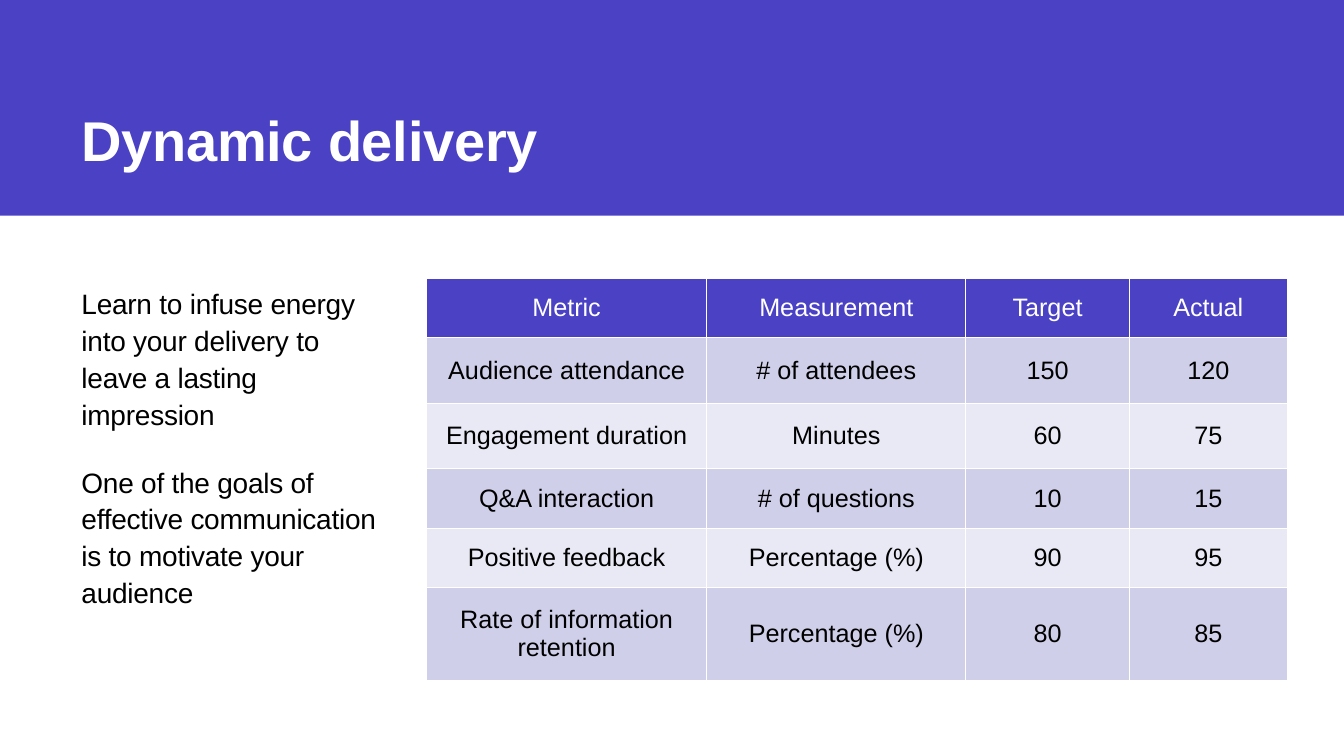
from dataclasses import dataclass

from lxml import etree
from pptx import Presentation
from pptx.dml.color import RGBColor
from pptx.enum.shapes import MSO_SHAPE
from pptx.enum.text import MSO_ANCHOR, PP_ALIGN
from pptx.oxml.ns import qn
from pptx.util import Inches, Pt

RECTANGLE = MSO_SHAPE.RECTANGLE
TOP, MIDDLE, BOTTOM = MSO_ANCHOR.TOP, MSO_ANCHOR.MIDDLE, MSO_ANCHOR.BOTTOM
CENTER = PP_ALIGN.CENTER


@dataclass(frozen=True)
class Theme:
    font: str = "Arial"
    accent: str = "4A41C5"
    band_dark: str = "D0CFEA"
    band_light: str = "E9E9F5"
    white: str = "FFFFFF"
    black: str = "000000"
    title_size: int = 40
    body_size: int = 20
    table_size: int = 18
    tracking: int = -20  # hundredths of a point
    border: int = 1


THEME = Theme()


def add_span(para, text, size, color, bold=False, tracking=0):
    span = para.add_run()
    span.text = text
    span.font.name = THEME.font
    span.font.size = Pt(size)
    span.font.bold = bold
    span.font.color.rgb = RGBColor.from_string(color)
    if tracking:
        span.font._element.set("spc", str(tracking))


def add_text_frame(page, left, top, width, height, anchor):
    box = page.shapes.add_textbox(Inches(left), Inches(top), Inches(width), Inches(height))
    frame = box.text_frame
    frame.word_wrap = True
    frame.vertical_anchor = anchor
    return frame


deck = Presentation()
deck.slide_width = Inches(13.33)
deck.slide_height = Inches(7.5)
page = deck.slides.add_slide(deck.slide_layouts[6])

# Title band
band = page.shapes.add_shape(RECTANGLE, 0, 0, deck.slide_width, Inches(2.14))
band.shadow.inherit = False
band.fill.solid()
band.fill.fore_color.rgb = RGBColor.from_string(THEME.accent)
band.line.fill.background()

title = add_text_frame(page, 0.71, 0.4, 11.79, 1.36, BOTTOM)
add_span(title.paragraphs[0], "Dynamic delivery", THEME.title_size, THEME.white,
         bold=True, tracking=THEME.tracking)

# Introduction
messages = [
    "Learn to infuse energy into your delivery to leave a lasting impression",
    "One of the goals of effective communication is to motivate your audience",
]
intro = add_text_frame(page, 0.71, 2.76, 3.13, 3.9, TOP)
for index, message in enumerate(messages):
    para = intro.add_paragraph() if index else intro.paragraphs[0]
    para.line_spacing = 1.1
    para.space_before = Pt(10)
    para.space_after = Pt(12)
    add_span(para, message, THEME.body_size, THEME.black, tracking=THEME.tracking)

# Metrics table
metrics = [
    ["Metric", "Measurement", "Target", "Actual"],
    ["Audience attendance", "# of attendees", "150", "120"],
    ["Engagement duration", "Minutes", "60", "75"],
    ["Q&A interaction", "# of questions", "10", "15"],
    ["Positive feedback", "Percentage (%)", "90", "95"],
    ["Rate of information retention", "Percentage (%)", "80", "85"],
]
column_widths = [2.78, 2.57, 1.62, 1.57]
row_heights = [0.59, 0.65, 0.65, 0.59, 0.59, 0.92]

table = page.shapes.add_table(
    len(row_heights), len(column_widths), Inches(4.23), Inches(2.76),
    Inches(sum(column_widths)), Inches(sum(row_heights))).table
for column, width in zip(table.columns, column_widths):
    column.width = Inches(width)
for row, height in zip(table.rows, row_heights):
    row.height = Inches(height)

for row_index, values in enumerate(metrics):
    if row_index == 0:
        fill, ink = THEME.accent, THEME.white
    else:
        fill = THEME.band_dark if row_index % 2 else THEME.band_light
        ink = THEME.black
    for column_index, value in enumerate(values):
        cell = table.cell(row_index, column_index)
        cell.vertical_anchor = MIDDLE
        properties = cell._tc.get_or_add_tcPr()
        for side in ("a:lnL", "a:lnR", "a:lnT", "a:lnB"):
            line = etree.SubElement(properties, qn(side), w=str(Pt(THEME.border)))
            solid = etree.SubElement(line, qn("a:solidFill"))
            etree.SubElement(solid, qn("a:srgbClr"), val=THEME.white)
        cell.fill.solid()
        cell.fill.fore_color.rgb = RGBColor.from_string(fill)
        para = cell.text_frame.paragraphs[0]
        para.alignment = CENTER
        add_span(para, value, THEME.table_size, ink)

deck.save("out.pptx")
